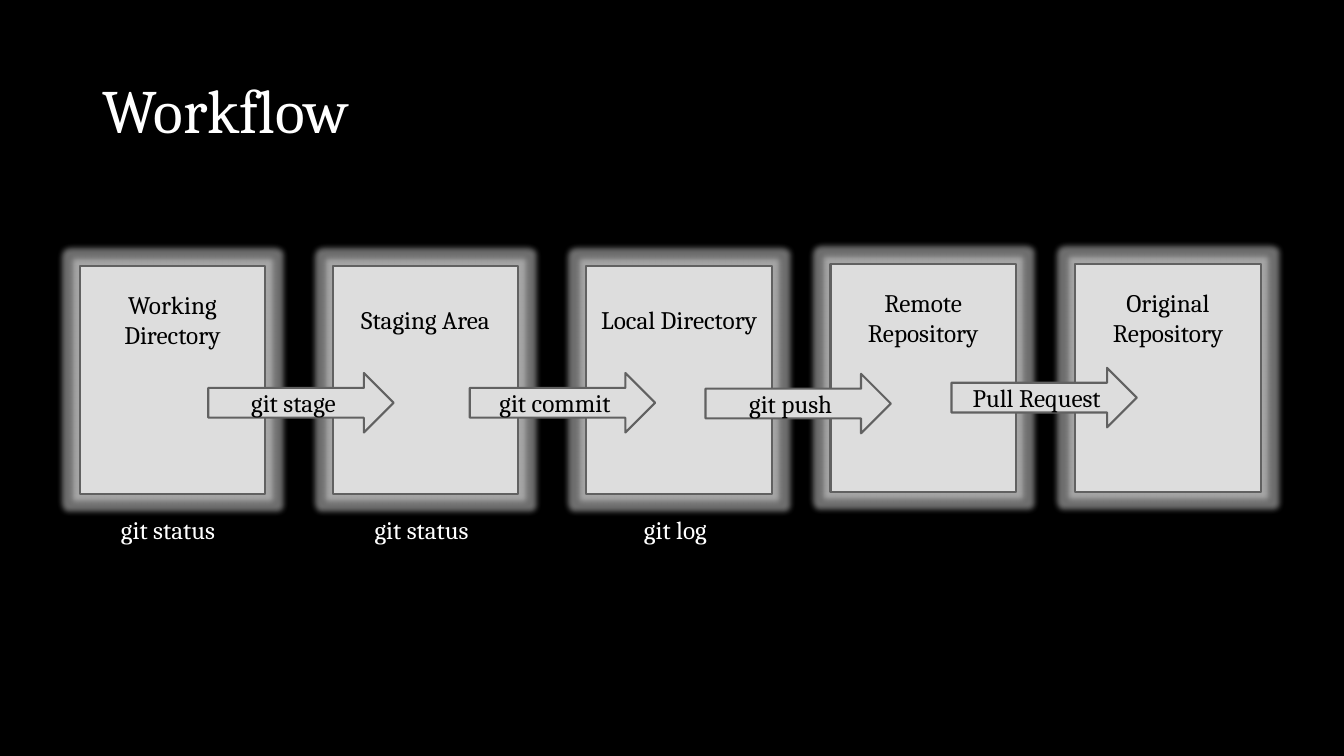
from lxml.etree import SubElement
from pptx import Presentation
from pptx.dml.color import RGBColor
from pptx.enum.shapes import MSO_SHAPE
from pptx.enum.text import MSO_ANCHOR, MSO_AUTO_SIZE, PP_ALIGN
from pptx.oxml.ns import qn
from pptx.util import Cm, Pt

BLACK = RGBColor(0x00, 0x00, 0x00)
WHITE = RGBColor(0xFF, 0xFF, 0xFF)
LIGHT_GREY = RGBColor(0xDD, 0xDD, 0xDD)
DARK_GREY = RGBColor(0x61, 0x61, 0x61)

FONT = "Cambria"
SHAPE_WIDTH = 4.67
STAGE_HEIGHT = 5.74
ARROW_HEIGHT = 1.5

# Text, left and top in centimetres
STAGES = [
    ("Working Directory", 2.01, 6.7),
    ("Staging Area", 8.39, 6.7),
    ("Local Directory", 14.78, 6.7),
    ("Remote Repository", 20.93, 6.65),
    ("Original Repository", 27.1, 6.65),
]
ARROWS = [
    ("git stage", 5.25, 9.4),
    ("git commit", 11.84, 9.4),
    ("git push", 17.78, 9.42),
    ("Pull Request", 23.98, 9.27),
]
# Text, left and width in centimetres
COMMANDS = [
    ("git status", 2.8, 3.1),
    ("git status", 9.19, 3.1),
    ("git log", 15.98, 2.26),
]


def write(frame, text, size, color, align=PP_ALIGN.LEFT):
    para = frame.paragraphs[0]
    para.alignment = align
    span = para.add_run()
    span.text = text
    for name, value in {"name": FONT, "size": Pt(size)}.items():
        setattr(span.font, name, value)
    span.font.color.rgb = color
    return para


def set_title(page, text):
    title = page.shapes.title
    place = {"left": Cm(2.33), "top": Cm(1.01), "width": Cm(29.21), "height": Cm(3.68)}
    for name, value in place.items():
        setattr(title, name, value)
    title.text_frame.auto_size = MSO_AUTO_SIZE.NONE
    title.text_frame.vertical_anchor = MSO_ANCHOR.MIDDLE
    write(title.text_frame, text, 44, WHITE).line_spacing = 0.9


def add_block(page, kind, text, left, top, height):
    block = page.shapes.add_shape(kind, Cm(left), Cm(top), Cm(SHAPE_WIDTH), Cm(height))
    block.shadow.inherit = False
    block.fill.solid()
    block.fill.fore_color.rgb = LIGHT_GREY
    block.line.color.rgb = DARK_GREY
    block.line.width = Pt(1.5)
    block.text_frame.word_wrap = True
    block.text_frame.vertical_anchor = MSO_ANCHOR.MIDDLE
    write(block.text_frame, text, 18, BLACK, PP_ALIGN.CENTER)
    return block


def add_glow(block):
    effects = block.element.spPr.find(qn("a:effectLst"))
    glow = SubElement(effects, qn("a:glow"), rad=str(Pt(8)))
    color = SubElement(glow, qn("a:srgbClr"), val=str(LIGHT_GREY))
    SubElement(color, qn("a:alpha"), val="50000")


def add_stage(page, text, left, top):
    stage = add_block(page, MSO_SHAPE.RECTANGLE, text, left, top, STAGE_HEIGHT)
    stage.text_frame.margin_bottom = Cm(3.15)  # keeps the name above the arrows
    add_glow(stage)


def add_command(page, text, left, width):
    box = page.shapes.add_textbox(Cm(left), Cm(12.83), Cm(width), Cm(1.02))
    box.text_frame.word_wrap = False
    box.text_frame.auto_size = MSO_AUTO_SIZE.SHAPE_TO_FIT_TEXT
    write(box.text_frame, text, 18, WHITE)


def main():
    deck = Presentation()
    deck.slide_width, deck.slide_height = Cm(33.87), Cm(19.05)
    page = deck.slides.add_slide(deck.slide_layouts[5])
    page.background.fill.solid()
    page.background.fill.fore_color.rgb = BLACK
    set_title(page, "Workflow")

    # Stages, the moves between them and the commands below
    for text, left, top in STAGES:
        add_stage(page, text, left, top)
    for text, left, top in ARROWS:
        add_block(page, MSO_SHAPE.RIGHT_ARROW, text, left, top, ARROW_HEIGHT)
    for text, left, width in COMMANDS:
        add_command(page, text, left, width)

    deck.save("out.pptx")


if __name__ == "__main__":
    main()
